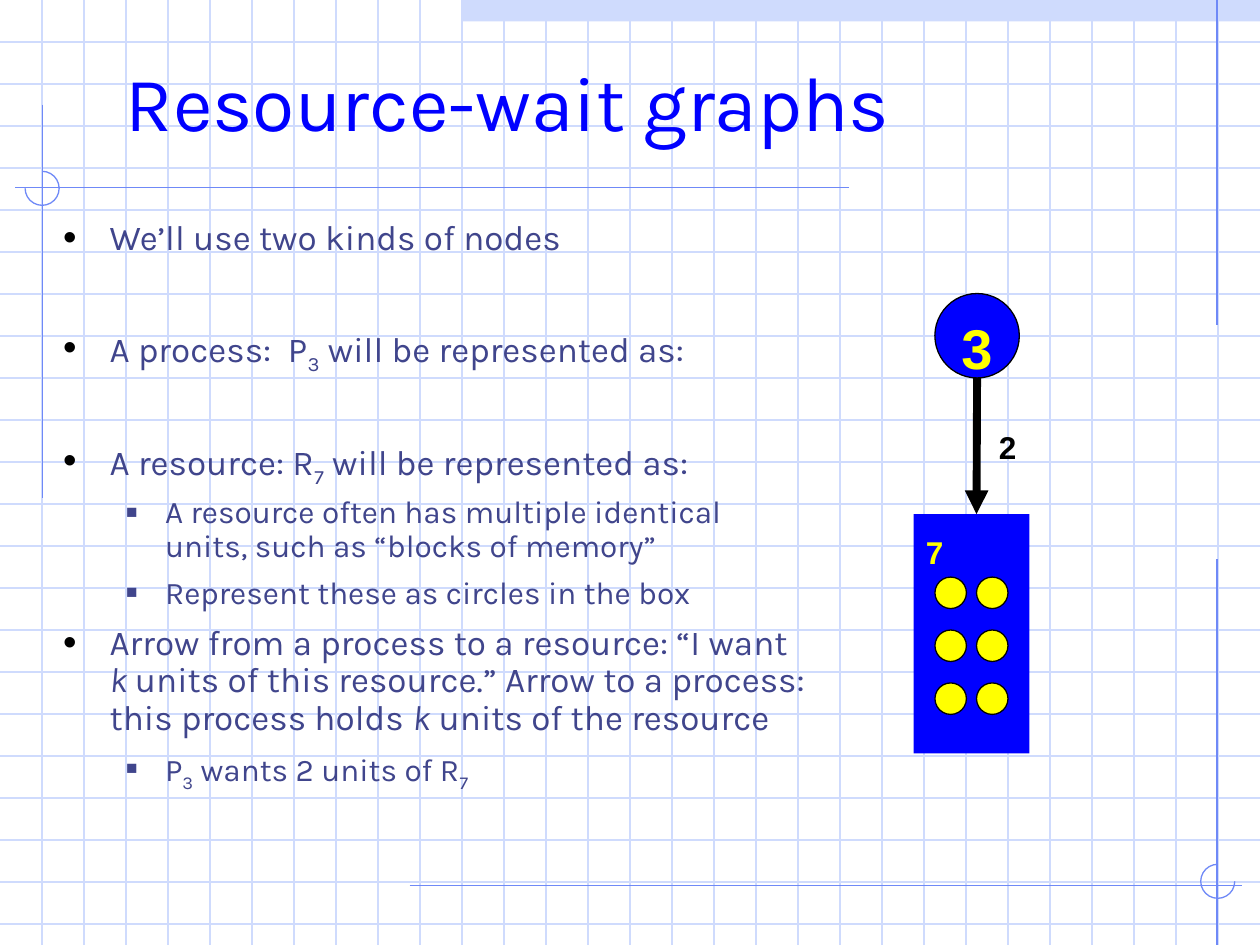
from dataclasses import dataclass

from lxml import etree
from pptx import Presentation
from pptx import util as u
from pptx.dml.color import RGBColor
from pptx.enum import shapes, text
from pptx.oxml import ns


@dataclass(frozen=True)
class Theme:
    grid: str = "CFDBFD"
    frame: str = "6F89F7"
    blue: str = "0000FF"
    body: str = "40458C"
    yellow: str = "FFFF00"
    black: str = "000000"
    font: str = "Karla"
    label_font: str = "Arial"
    title_size: float = 44
    body_size: float = 20
    sub_size: float = 18
    node_size: float = 32
    label_size: float = 18
    thin: float = 0.75
    arrow: float = 4.5


@dataclass(frozen=True)
class Span:
    words: str
    italic: bool = False
    subscript: bool = False


@dataclass(frozen=True)
class Level:
    size: float
    left: float
    hanging: float
    bullet: str
    bullet_color: str
    bullet_percent: int


@dataclass(frozen=True)
class Point:
    level: Level
    before: float
    spans: tuple


THEME = Theme()
WIDTH, HEIGHT, STEP = 10, 7.5, 1 / 3
MAIN = Level(THEME.body_size, 0.37, 0.37, "•", THEME.black, 110)
SUB = Level(THEME.sub_size, 0.81, 0.31, "■", THEME.body, 60)

POINTS = (
    Point(MAIN, 8, (Span("We’ll use two kinds of nodes"),)),
    Point(MAIN, 40, (Span("A process:  P"), Span("3", subscript=True),
                     Span(" will be represented as:"))),
    Point(MAIN, 40, (Span("A resource: R"), Span("7", subscript=True),
                     Span(" will be represented as:"))),
    Point(SUB, 7, (Span("A resource often has multiple identical\n"
                        "units, such as “blocks of memory”"),)),
    Point(SUB, 7, (Span("Represent these as circles in the box"),)),
    Point(MAIN, 8, (Span("Arrow from a process to a resource: “I want \n"),
                    Span("k ", italic=True),
                    Span("units of this resource.” Arrow to a process:\nthis process holds "),
                    Span("k", italic=True), Span(" units of the resource"))),
    Point(SUB, 7, (Span("P"), Span("3", subscript=True),
                   Span(" wants 2 units of R"), Span("7", subscript=True))),
)


def color(value: str) -> RGBColor:
    return RGBColor.from_string(value)


def add_line(slide, start: tuple, end: tuple, line_color: str, width: float = THEME.thin):
    line = slide.shapes.add_connector(
        shapes.MSO_CONNECTOR.STRAIGHT, *(u.Inches(value) for value in (*start, *end)))
    line.line.color.rgb = color(line_color)
    line.line.width = u.Pt(width)
    etree.SubElement(line._element.spPr, ns.qn("a:effectLst"))
    return line


def add_shape(slide, kind, box: tuple, fill: str | None = None, outline: str | None = None):
    shape = slide.shapes.add_shape(kind, *map(u.Inches, box))
    shape.shadow.inherit = False
    if fill:
        shape.fill.solid()
        shape.fill.fore_color.rgb = color(fill)
    else:
        shape.fill.background()
    if outline:
        shape.line.color.rgb = color(outline)
        shape.line.width = u.Pt(THEME.thin)
    else:
        shape.line.fill.background()
    return shape


def add_text_box(slide, box: tuple, inset: bool = True):
    frame = slide.shapes.add_textbox(*map(u.Inches, box)).text_frame
    frame.word_wrap = True
    if not inset:
        frame.margin_left = frame.margin_right = frame.margin_top = frame.margin_bottom = 0
    return frame


def add_run(paragraph, words: str, font: str, size: float, text_color: str, bold: bool = False):
    run = paragraph.add_run()
    run.text = words
    run.font.name = font
    run.font.size = u.Pt(size)
    run.font.bold = bold
    run.font.color.rgb = color(text_color)
    return run


def add_label(frame, words: str, size: float, text_color: str, align=text.PP_ALIGN.LEFT):
    paragraph = frame.paragraphs[0]
    paragraph.alignment = align
    paragraph.line_spacing = 1.34
    add_run(paragraph, words, THEME.label_font, size, text_color, bold=True)
    return paragraph


def set_bullet(paragraph, level: Level) -> None:
    properties = paragraph._p.get_or_add_pPr()
    properties.set("marL", str(u.Inches(level.left)))
    properties.set("indent", str(-u.Inches(level.hanging)))
    bullet_color = etree.SubElement(properties, ns.qn("a:buClr"))
    etree.SubElement(bullet_color, ns.qn("a:srgbClr"), val=level.bullet_color)
    etree.SubElement(properties, ns.qn("a:buSzPct"), val=str(level.bullet_percent * 1000))
    etree.SubElement(properties, ns.qn("a:buFont"), typeface=THEME.label_font)
    etree.SubElement(properties, ns.qn("a:buChar"), char=level.bullet)


def add_point(paragraph, point: Point) -> None:
    paragraph.line_spacing = 0.9
    paragraph.space_before = u.Pt(point.before)
    set_bullet(paragraph, point.level)
    for span in point.spans:
        for index, words in enumerate(span.words.split("\n")):
            if index:
                paragraph.add_line_break()
            if words:
                run = add_run(paragraph, words, THEME.font, point.level.size, THEME.body)
                run.font.italic = span.italic
                if span.subscript:
                    run.font._element.set("baseline", "-25000")


def draw_background(slide) -> None:
    add_shape(slide, shapes.MSO_SHAPE.RECTANGLE, (3.66, 0, 6.34, 0.17), THEME.grid)
    # Graph paper
    for row in range(1, 23):
        add_line(slide, (0, row * STEP), (WIDTH, row * STEP), THEME.grid)
    for column in range(1, 30):
        add_line(slide, (column * STEP, 0), (column * STEP, HEIGHT), THEME.grid)
    # Frame lines
    for start, end in (((9.66, 0), (9.66, 2.58)), ((0.34, 0.83), (0.34, 3.95)),
                       ((6.74, 1.49), (0.12, 1.49)), ((3.25, 7.03), (9.86, 7.03)),
                       ((9.66, 4.44), (9.66, HEIGHT))):
        add_line(slide, start, end, THEME.frame)
    # Three-quarter arcs; adjustments are degrees * 0.6
    for left, top, start, end in ((0.2, 1.36, 270, 180), (9.53, 6.86, 0, 270)):
        arc = add_shape(slide, shapes.MSO_SHAPE.ARC, (left, top, 0.27, 0.27), outline=THEME.frame)
        arc.adjustments[0], arc.adjustments[1] = start * 0.6, end * 0.6


def draw_text(slide) -> None:
    title = add_text_box(slide, (1, 0, 8.5, 1.57), inset=False)
    title.vertical_anchor = text.MSO_ANCHOR.MIDDLE
    title.paragraphs[0].line_spacing = 1.04
    add_run(title.paragraphs[0], "Resource-wait graphs", THEME.font, THEME.title_size, THEME.blue)

    body = add_text_box(slide, (0.5, 1.75, 6.58, 4.95), inset=False)
    for index, point in enumerate(POINTS):
        add_point(body.add_paragraph() if index else body.paragraphs[0], point)


def draw_graph(slide) -> None:
    # Process node
    oval = shapes.MSO_SHAPE.OVAL
    process = add_shape(slide, oval, (7.42, 2.33, 0.67, 0.67), THEME.blue, THEME.black)
    process.text_frame.word_wrap = False
    process.text_frame.vertical_anchor = text.MSO_ANCHOR.MIDDLE
    add_label(process.text_frame, "3", THEME.node_size, THEME.yellow, text.PP_ALIGN.CENTER)

    # Resource node with its units
    resource = add_shape(slide, shapes.MSO_SHAPE.RECTANGLE, (7.25, 4.08, 0.92, 1.9), THEME.blue)
    resource.text_frame.vertical_anchor = text.MSO_ANCHOR.TOP
    add_label(resource.text_frame, "7", THEME.label_size, THEME.yellow)
    for row in range(3):
        for column in range(2):
            add_shape(slide, oval, (7.42 + column * 0.33, 4.58 + row * 0.42, 0.25, 0.25),
                      THEME.yellow, THEME.black)

    # Request arrow and its count
    arrow = add_line(slide, (7.75, 3), (7.75, 4.08), THEME.black, THEME.arrow)
    arrow.begin_connect(process, 2)
    etree.SubElement(arrow.line._get_or_add_ln(), ns.qn("a:tailEnd"), type="triangle")
    count = add_text_box(slide, (7.83, 3.25, 0.25, 0.4))
    add_label(count, "2", THEME.label_size, THEME.black).space_before = u.Pt(9)


def main() -> None:
    presentation = Presentation()
    presentation.slide_width, presentation.slide_height = u.Inches(WIDTH), u.Inches(HEIGHT)
    slide = presentation.slides.add_slide(presentation.slide_layouts[6])
    draw_background(slide)
    draw_text(slide)
    draw_graph(slide)
    presentation.save("out.pptx")


if __name__ == "__main__":
    main()
